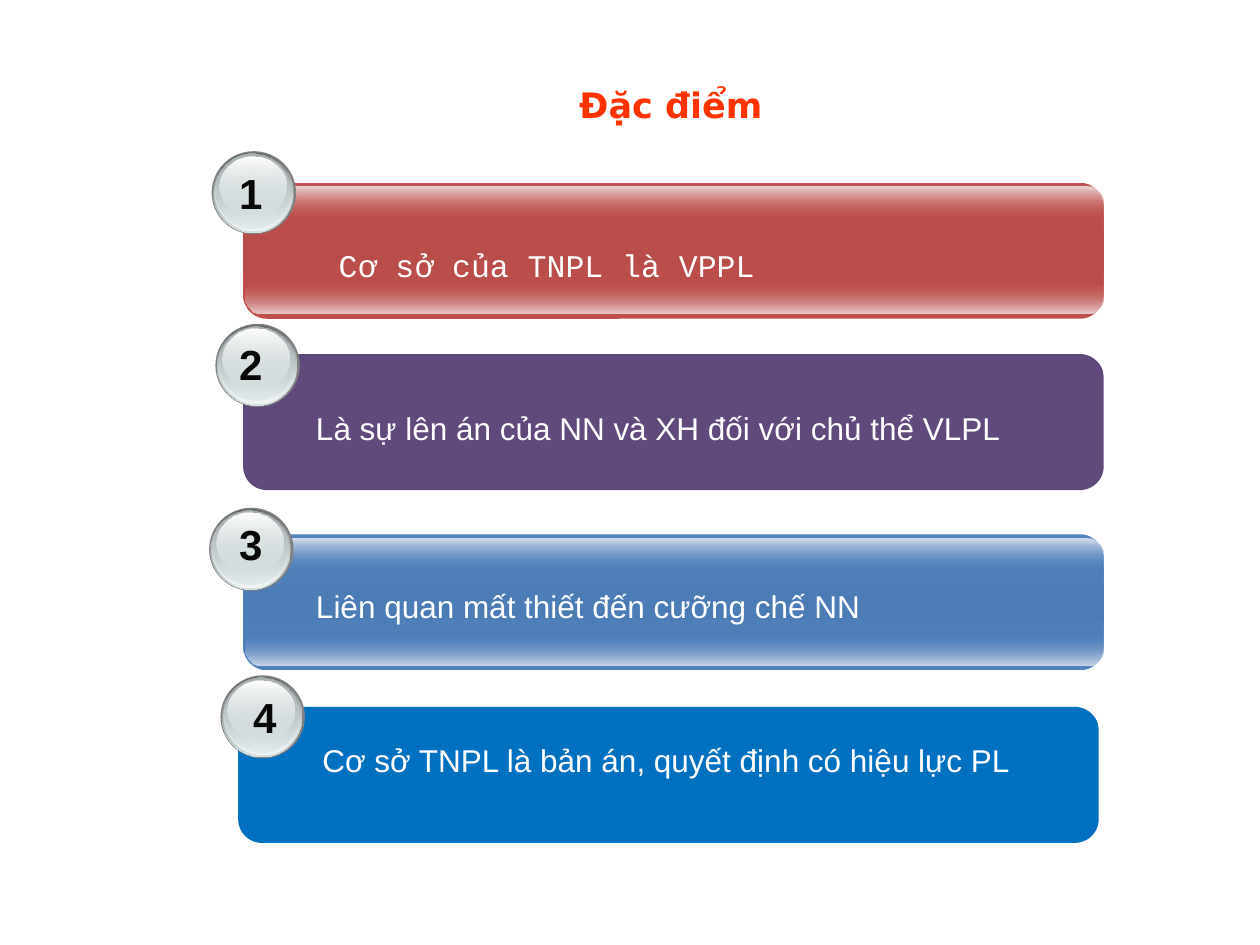
from pptx import Presentation
from pptx import util as u
from pptx.dml.color import RGBColor
from pptx.enum import shapes, text
from pptx.oxml.ns import qn
from pptx.oxml.xmlchemy import OxmlElement

WHITE = RGBColor(0xFF, 0xFF, 0xFF)
INK = RGBColor(0x08, 0x08, 0x08)
ORANGE = RGBColor(0xFF, 0x33, 0x00)
RED = RGBColor(0xC0, 0x50, 0x4D)
RED_MID = RGBColor(0xB9, 0x4D, 0x4A)
RED_TOP = RGBColor(0xEC, 0xD9, 0xD9)
RED_BOTTOM = RGBColor(0xE8, 0xCF, 0xCE)
BLUE = RGBColor(0x4F, 0x81, 0xBD)
BLUE_MID = RGBColor(0x4C, 0x7C, 0xB6)
BLUE_TOP = RGBColor(0xD9, 0xDF, 0xEC)
BLUE_BOTTOM = RGBColor(0xCF, 0xD7, 0xE7)
PURPLE = RGBColor(0x60, 0x4A, 0x7B)
AZURE = RGBColor(0x00, 0x70, 0xC0)
GRAY = RGBColor(0x80, 0x80, 0x80)
SLATE = RGBColor(0x63, 0x68, 0x69)
STEEL = RGBColor(0xAA, 0xB2, 0xB3)
SILVER = RGBColor(0xD6, 0xE1, 0xE2)
PEARL = RGBColor(0xF1, 0xF5, 0xF5)

COLUMNS, ROWS = 100, 75
ROUND = shapes.MSO_SHAPE.ROUNDED_RECTANGLE
OVAL = shapes.MSO_SHAPE.OVAL


def glossy(base, mid, top, bottom):
    """Fills of a bar's body, bottom gloss and top gloss; stops are (position, colour, opacity)."""
    return ([(0, base, 100), (50, mid, 100), (100, base, 100)],
            [(0, base, 0), (100, bottom, 100)],
            [(0, top, 100), (100, base, 0)])


# Column and row offsets, width, height and fill of each disc, back to front
BADGE_DISCS = [
    (0, 0, 6.7, 6.6, GRAY),
    (0.1, 0.1, 6.4, 6.4, [(0, SLATE, 100), (100, SILVER, 100)]),
    (0.2, 0.1, 6.2, 6.2, [(0, SILVER, 0), (100, PEARL, 100)]),
    (0.3, 0.2, 5.9, 5.9, [(0, STEEL, 100), (100, SILVER, 48)]),
    (0.6, 0.4, 5.3, 4.7, [(0, WHITE, 100), (100, SILVER, 38)]),
]

# Bar corner, bar fills, badge corner, number corner, caption box, caption font, line spacing
ITEMS = [
    ((19.3, 14.5), glossy(RED, RED_MID, RED_TOP, RED_BOTTOM), (16.8, 12), (18, 12.8),
     (25.9, 17.5, 61.7, 5.6), "Cơ sở của TNPL là VPPL", "Courier New", 1.5),
    ((19.3, 28.1), (PURPLE,) * 3, (17.1, 25.7), (18, 26.4),
     (24.1, 30.5, 61.7, 5), "Là sự lên án của NN và XH đối với chủ thể VLPL", "Arial", 1.5),
    ((19.3, 42.4), glossy(BLUE, BLUE_MID, BLUE_TOP, BLUE_BOTTOM), (16.6, 40.3), (18, 40.7),
     (24.1, 44.6, 61.7, 5), "Liên quan mất thiết đến cưỡng chế NN", "Arial", 1.5),
    ((18.9, 56.1), (AZURE,) * 3, (17.5, 53.6), (19.1, 54.4),
     (24.6, 58.3, 74.3, 4), "Cơ sở TNPL là bản án, quyết định có hiệu lực PL", "Arial", None),
]


class Deck:
    def __init__(self):
        self.prs = Presentation()
        self.prs.slide_width, self.prs.slide_height = u.Inches(10), u.Inches(7.5)
        self.s = self.prs.slides.add_slide(self.prs.slide_layouts[6])

    def box(self, x, y, w, h):
        """Turn columns and rows into slide lengths."""
        col, row = self.prs.slide_width / COLUMNS, self.prs.slide_height / ROWS
        return round(x * col), round(y * row), round(w * col), round(h * row)

    def gradient(self, sp, stops):
        """Top-to-bottom gradient whose stops may be transparent."""
        sp.fill.gradient()
        sp.fill.gradient_angle = 270
        gs_list = sp._element.spPr.find(qn("a:gradFill")).find(qn("a:gsLst"))
        for gs in list(gs_list):
            gs_list.remove(gs)
        for position, colour, opacity in stops:
            gs = OxmlElement("a:gs")
            gs.set("pos", str(position * 1000))
            clr = OxmlElement("a:srgbClr")
            clr.set("val", str(colour))
            if opacity < 100:
                alpha = OxmlElement("a:alpha")
                alpha.set("val", str(opacity * 1000))
                clr.append(alpha)
            gs.append(clr)
            gs_list.append(gs)

    def shape(self, group, kind, box, fill, corner=None):
        sp = group.shapes.add_shape(kind, *self.box(*box))
        sp.shadow.inherit = False
        sp.line.fill.background()
        if corner is not None:
            sp.adjustments[0] = corner
        if isinstance(fill, RGBColor):
            sp.fill.solid()
            sp.fill.fore_color.rgb = fill
        else:
            self.gradient(sp, fill)

    def bar(self, x, y, fills):
        group = self.s.shapes.add_group_shape()
        body, bottom, top = fills
        self.shape(group, ROUND, (x, y, 68.3, 10.8), body, 0.175)
        self.shape(group, ROUND, (x + 0.15, y + 7.8, 68.1, 2.6), bottom, 0.5)
        self.shape(group, ROUND, (x + 0.15, y + 0.33, 68.1, 2.6), top, 0.5)

    def badge(self, x, y):
        group = self.s.shapes.add_group_shape()
        for dx, dy, w, h, fill in BADGE_DISCS:
            self.shape(group, OVAL, (x + dx, y + dy, w, h), fill)

    def label(self, box, words, size, colour, font="Arial", bold=False, align=None, spacing=None):
        tf = self.s.shapes.add_textbox(*self.box(*box)).text_frame
        tf.word_wrap = True
        tf.auto_size = text.MSO_AUTO_SIZE.SHAPE_TO_FIT_TEXT
        tf.text = words
        p = tf.paragraphs[0]
        p.alignment, p.line_spacing = align, spacing
        r = p.runs[0]
        r.font.name, r.font.size, r.font.bold = font, u.Pt(size), bold
        r.font.color.rgb = colour


def main():
    deck = Deck()
    deck.label((22.4, 6.1, 61.7, 9.4), "Đặc điểm", 20, ORANGE, "DejaVu Sans",
               bold=True, align=text.PP_ALIGN.CENTER)
    for number, item in enumerate(ITEMS, 1):
        bar_at, fills, badge_at, number_at, caption_box, caption, font, spacing = item
        deck.bar(*bar_at, fills)
        deck.badge(*badge_at)
        deck.label((*number_at, 4.2, 5), str(number), 24, INK, bold=True)
        deck.label(caption_box, caption, 18, WHITE, font, spacing=spacing)
    deck.prs.save("out.pptx")


if __name__ == "__main__":
    main()
